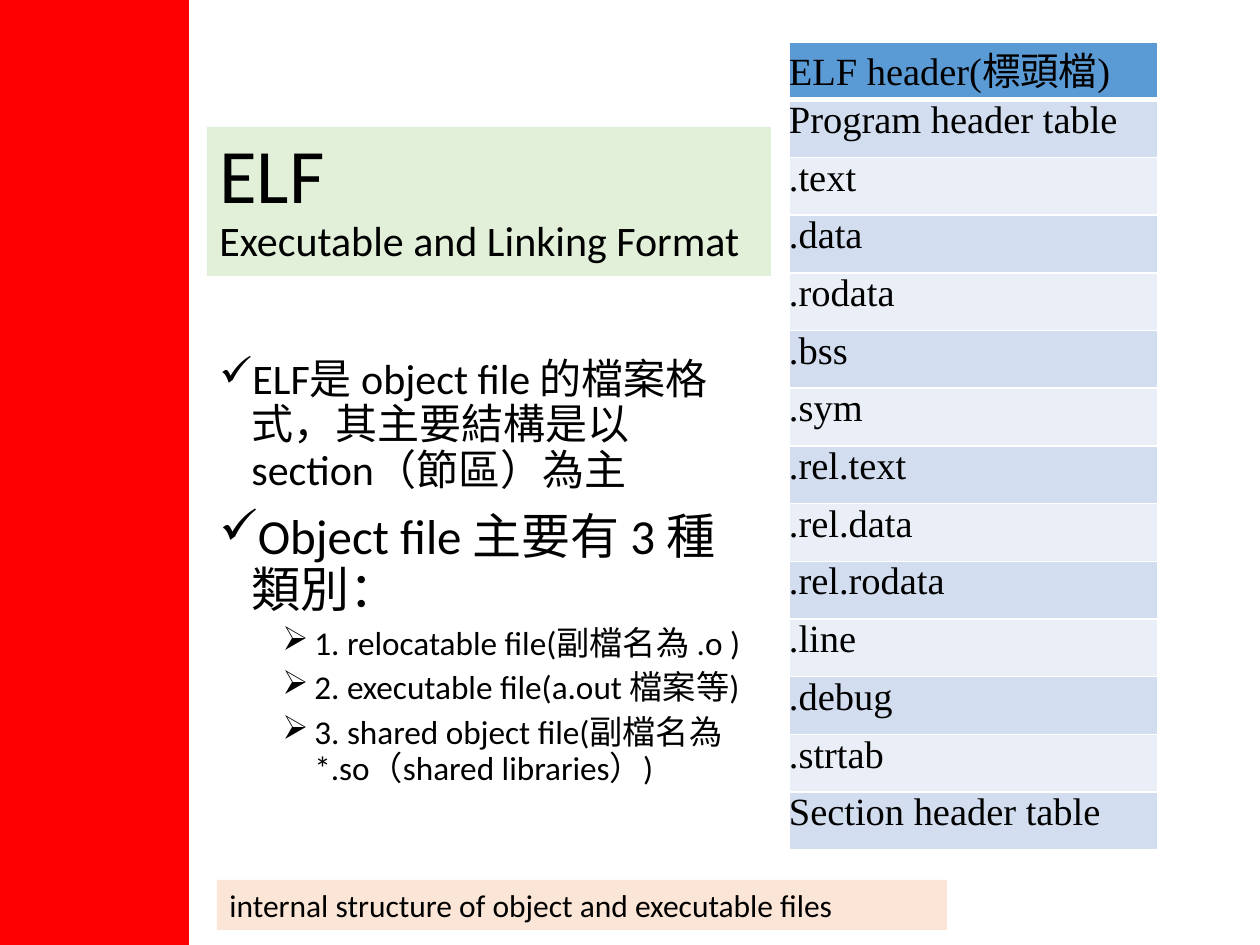
from lxml.etree import SubElement
from pptx import Presentation
from pptx.dml.color import RGBColor
from pptx.enum.shapes import MSO_SHAPE
from pptx.enum.text import MSO_ANCHOR, PP_ALIGN
from pptx.oxml.ns import qn
from pptx.util import Emu, Pt

PX = 914400 / 126
COLOURS = {
    "text": "000000",
    "white": "FFFFFF",
    "sidebar": "FF0000",
    "title": "E2F0D9",
    "caption": "FBE5D6",
    "header": "5B9BD5",
    "odd": "D2DEEF",
    "even": "EAEFF7",
}
SECTIONS = [
    "ELF header(標頭檔)", "Program header table", ".text", ".data", ".rodata",
    ".bss", ".sym", ".rel.text", ".rel.data", ".rel.rodata", ".line",
    ".debug", ".strtab", "Section header table",
]
# Text, size, level
POINTS = [
    ("ELF是 object file 的檔案格式，其主要結構是以 section（節區）為主", 24, 0),
    ("Object file 主要有 3 種類別：", 28, 0),
    ("1. relocatable file(副檔名為 .o )", 19, 1),
    ("2. executable file(a.out 檔案等)", 19, 1),
    ("3. shared object file(副檔名為 *.so（shared libraries）)", 19, 1),
]
# Bullet, left margin in px, space before in points
LEVELS = [("✓", 32, 10), ("➢", 95, 5)]


def px(value):
    return Emu(round(value * PX))


def colour(name):
    return RGBColor.from_string(COLOURS[name])


class SlideBuilder:
    font = "Calibri"
    table_font = "Times New Roman"

    def __init__(self, slide):
        self.slide = slide

    def run(self, paragraph, text, size, font=None):
        run = paragraph.add_run()
        run.text = text
        run.font.size = Pt(size)
        run.font.name = font or self.font
        run.font.color.rgb = colour("text")

    def rectangle(self, box, fill):
        shape = self.slide.shapes.add_shape(MSO_SHAPE.RECTANGLE, *map(px, box))
        shape.shadow.inherit = False
        shape.fill.solid()
        shape.fill.fore_color.rgb = colour(fill)
        shape.line.fill.background()
        return shape

    def panel(self, box, fill, lines, line_spacing=1.0):
        frame = self.rectangle(box, fill).text_frame
        frame.word_wrap = True
        frame.vertical_anchor = MSO_ANCHOR.MIDDLE
        paragraph = frame.paragraphs[0]
        paragraph.alignment = PP_ALIGN.LEFT
        paragraph.line_spacing = line_spacing
        for index, (text, size) in enumerate(lines):
            if index:
                paragraph.add_line_break()
            self.run(paragraph, text, size)

    def bullets(self, box, points):
        frame = self.slide.shapes.add_textbox(*map(px, box)).text_frame
        frame.word_wrap = True
        for index, (text, size, level) in enumerate(points):
            paragraph = frame.paragraphs[0] if index == 0 else frame.add_paragraph()
            bullet, margin, space = LEVELS[level]
            properties = paragraph._p.get_or_add_pPr()
            properties.set("marL", str(px(margin)))
            properties.set("indent", str(px(-32)))
            SubElement(properties, qn("a:buChar"), char=bullet)
            paragraph.level = level
            paragraph.line_spacing = 0.9
            if index:
                paragraph.space_before = Pt(space)
            self.run(paragraph, text, size)

    def borders(self, cell, widths):
        properties = cell._tc.get_or_add_tcPr()
        for side, width in widths.items():
            line = SubElement(properties, qn(f"a:ln{side}"), w=str(Pt(width)))
            fill = SubElement(line, qn("a:solidFill"))
            SubElement(fill, qn("a:srgbClr"), val=COLOURS["white"])

    def table(self, box, labels):
        table = self.slide.shapes.add_table(len(labels), 1, *map(px, box)).table
        for index, label in enumerate(labels):
            table.rows[index].height = px(box[3] / len(labels))
            cell = table.cell(index, 0)
            cell.margin_left = cell.margin_right = cell.margin_bottom = 0
            cell.margin_top = px(2)
            top = 3 if index == 1 else 1
            bottom = 3 if index == 0 else 1
            self.borders(cell, {"L": 1, "R": 1, "T": top, "B": bottom})
            cell.fill.solid()
            band = "odd" if index % 2 else "even"
            cell.fill.fore_color.rgb = colour(band if index else "header")
            paragraph = cell.text_frame.paragraphs[0]
            paragraph.line_spacing = 0.93
            self.run(paragraph, label, 22, self.table_font)


def main():
    presentation = Presentation()
    presentation.slide_width = px(1260)
    presentation.slide_height = px(945)
    builder = SlideBuilder(presentation.slides.add_slide(presentation.slide_layouts[6]))

    # Title
    builder.panel((207, 127, 564, 149), "title",
                  [("ELF", 44), ("Executable and Linking Format", 24)], 0.9)
    # Explanation
    builder.bullets((207, 352, 554, 470), POINTS)
    # File layout
    builder.table((789, 42, 369, 808), SECTIONS)
    # Sidebar and caption
    builder.rectangle((0, 0, 189, 945), "sidebar")
    builder.panel((217, 880, 730, 50), "caption",
                  [("internal structure of object and executable files", 18)])

    presentation.save("out.pptx")


if __name__ == "__main__":
    main()
